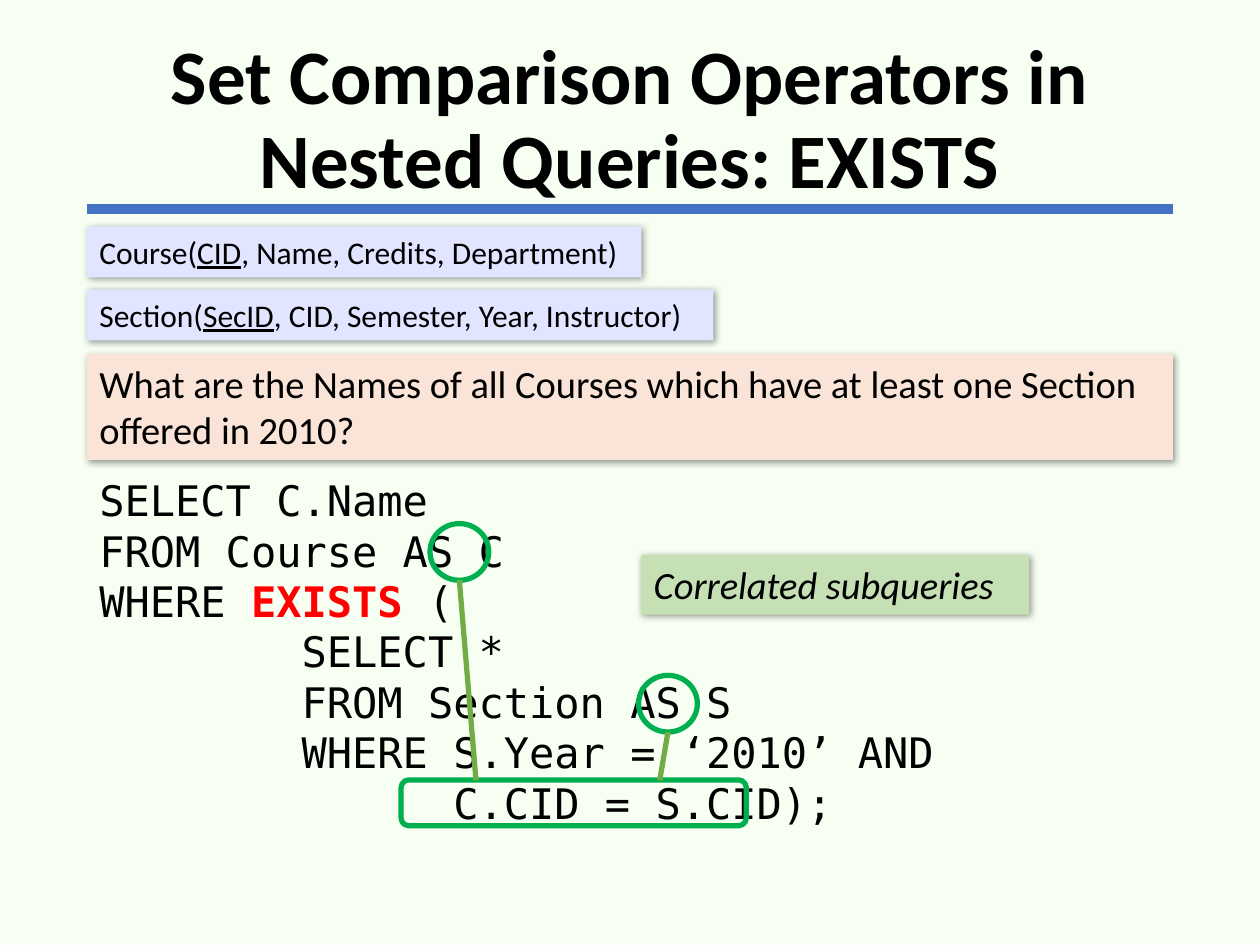
from lxml.etree import SubElement
from pptx import Presentation
from pptx.dml.color import RGBColor
from pptx.enum.shapes import MSO_CONNECTOR, MSO_SHAPE
from pptx.enum.text import MSO_ANCHOR, MSO_AUTO_SIZE, PP_ALIGN
from pptx.oxml import parse_xml
from pptx.oxml.ns import nsdecls, qn
from pptx.util import Pt

BACKGROUND = RGBColor(0xF7, 0xFF, 0xF3)
BLACK = RGBColor(0x00, 0x00, 0x00)
RED = RGBColor(0xFF, 0x00, 0x00)
BLUE = RGBColor(0x44, 0x72, 0xC4)
LAVENDER = RGBColor(0xE2, 0xE5, 0xFF)
PEACH = RGBColor(0xFA, 0xE4, 0xD7)
PALE_GREEN = RGBColor(0xC5, 0xE0, 0xB4)
MARK_GREEN = RGBColor(0x00, 0xB0, 0x50)
LINK_GREEN = RGBColor(0x70, 0xAD, 0x47)

LEFT, WIDTH = 49.7, 620.6
SHADOW = (
    f'<a:effectLst {nsdecls("a")}>'
    '<a:outerShdw blurRad="50800" dist="12700" dir="2700000" algn="tl" rotWithShape="0">'
    '<a:srgbClr val="000000"><a:alpha val="40000"/></a:srgbClr>'
    '</a:outerShdw></a:effectLst>'
)


def add_line(start, end, color, width):
    line = slide.shapes.add_connector(
        MSO_CONNECTOR.STRAIGHT, *(Pt(value) for value in (*start, *end)))
    line.line.color.rgb = color
    line.line.width = Pt(width)
    SubElement(line._element.spPr, qn("a:effectLst"))


def format_paragraph(paragraph, font_name, size):
    paragraph.alignment = PP_ALIGN.LEFT
    paragraph.font.name = font_name
    paragraph.font.size = Pt(size)
    paragraph.font.color.rgb = BLACK


presentation = Presentation()
presentation.slide_width = Pt(720)
presentation.slide_height = Pt(540)
slide = presentation.slides.add_slide(presentation.slide_layouts[5])
slide.background.fill.solid()
slide.background.fill.fore_color.rgb = BACKGROUND

add_line((LEFT, 119.5), (LEFT + WIDTH, 119.5), BLUE, 6)

# Title
title = slide.shapes.title
title.left, title.top, title.width, title.height = Pt(LEFT), Pt(17.3), Pt(WIDTH), Pt(104.4)
title.text_frame.text = "Set Comparison Operators in Nested Queries: EXISTS"
title.text_frame.vertical_anchor = MSO_ANCHOR.MIDDLE
title.text_frame.auto_size = MSO_AUTO_SIZE.NONE
paragraph = title.text_frame.paragraphs[0]
format_paragraph(paragraph, "Calibri", 44)
paragraph.alignment = PP_ALIGN.CENTER
paragraph.line_spacing = 0.9
paragraph.font.bold = True

# Query, with the keyword under discussion highlighted
query_box = slide.shapes.add_textbox(Pt(LEFT), Pt(267.8), Pt(WIDTH), Pt(211))
query_frame = query_box.text_frame
query_frame.word_wrap = True
query_frame.auto_size = MSO_AUTO_SIZE.SHAPE_TO_FIT_TEXT
query_lines = [
    "SELECT C.Name",
    "FROM Course AS C",
    "WHERE EXISTS (",
    "        SELECT *",
    "        FROM Section AS S",
    "        WHERE S.Year = ‘2010’ AND",
    "              C.CID = S.CID);",
]
for index, query_line in enumerate(query_lines):
    paragraph = query_frame.paragraphs[0] if index == 0 else query_frame.add_paragraph()
    format_paragraph(paragraph, "DejaVu Sans Mono", 24)
    before, keyword, after = query_line.partition("EXISTS")
    paragraph.add_run().text = before
    if keyword:
        run = paragraph.add_run()
        run.text = keyword
        run.font.bold = True
        run.font.color.rgb = RED
        paragraph.add_run().text = after

# Shadowed panels: position, fill, size, italic, then text before, in and after the underline
panels = [
    ((LEFT, 202.3, WIDTH, 60.6), PEACH, 22, False,
     ("What are the Names of all Courses which have at least one Section offered in 2010?",)),
    ((LEFT, 129.4, 316.8, 29.1), LAVENDER, 18, False,
     ("Course(", "CID", ", Name, Credits, Department)")),
    ((LEFT, 165.5, 358, 29.1), LAVENDER, 18, False,
     ("Section(", "SecID", ", CID, Semester, Year, Instructor)")),
    ((366.5, 317.3, 221.6, 33.9), PALE_GREEN, 22, True, ("Correlated subqueries",)),
]
for box, color, size, italic, texts in panels:
    panel = slide.shapes.add_shape(MSO_SHAPE.RECTANGLE, *(Pt(value) for value in box))
    panel.fill.solid()
    panel.fill.fore_color.rgb = color
    panel.line.fill.background()
    panel._element.spPr.append(parse_xml(SHADOW))
    panel.text_frame.word_wrap = True
    panel.text_frame.auto_size = MSO_AUTO_SIZE.SHAPE_TO_FIT_TEXT
    panel.text_frame.vertical_anchor = MSO_ANCHOR.TOP
    paragraph = panel.text_frame.paragraphs[0]
    format_paragraph(paragraph, "Calibri", size)
    paragraph.font.italic = italic
    for index, text in enumerate(texts):
        run = paragraph.add_run()
        run.text = text
        if index == 1:
            run.font.underline = True

# Marks around the aliases and the condition that uses them
marks = [
    (MSO_SHAPE.OVAL, (245.7, 299.2, 33.6, 32.4)),
    (MSO_SHAPE.OVAL, (364.9, 385.9, 33.6, 32.4)),
    (MSO_SHAPE.ROUNDED_RECTANGLE, (229.2, 445.7, 197.3, 26.2)),
]
for kind, box in marks:
    mark = slide.shapes.add_shape(kind, *(Pt(value) for value in box))
    mark.shadow.inherit = False
    mark.fill.background()
    mark.line.color.rgb = MARK_GREEN
    mark.line.width = Pt(3)

add_line((262.5, 331.5), (272, 446), LINK_GREEN, 3)
add_line((381.7, 418.3), (377, 446), LINK_GREEN, 3)

presentation.save("out.pptx")
